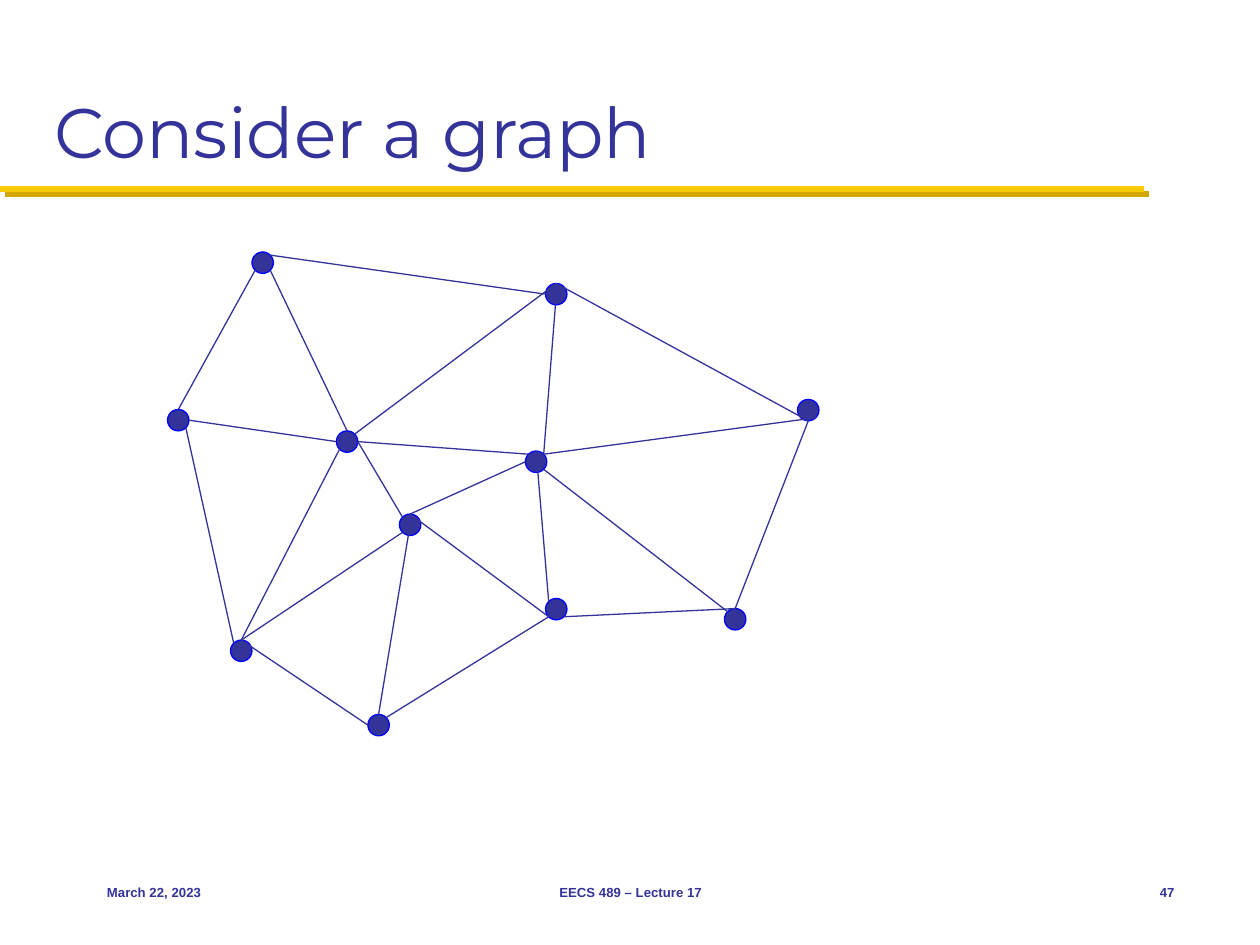
from dataclasses import dataclass
from math import sqrt

from lxml.etree import SubElement
from pptx import Presentation
from pptx.dml.color import RGBColor
from pptx.enum.shapes import MSO_CONNECTOR, MSO_SHAPE
from pptx.enum.text import MSO_ANCHOR, PP_ALIGN
from pptx.oxml.ns import qn
from pptx.shapes.connector import Connector
from pptx.text.text import TextFrame
from pptx.util import Inches, Pt


@dataclass(frozen=True)
class Theme:
    ink: str = "333399"
    rim: str = "0000FF"
    gold: str = "FFCB05"
    shade: str = "D3A600"
    head: str = "Montserrat"
    body: str = "Arial"
    title: float = 40
    foot: float = 7.5
    thin: float = 0.75
    rule: float = 3.5


@dataclass(frozen=True)
class Node:
    left: float
    top: float

    def site(self, side: str) -> tuple[float, float]:
        """Point on the rim in a compass direction, or the centre."""
        x, y = SIDES[side]
        reach = SIZE / 2 / (sqrt(x * x + y * y) or 1)
        return self.left + SIZE / 2 + x * reach, self.top + SIZE / 2 + y * reach


@dataclass(frozen=True)
class Edge:
    start: str
    out: str
    end: str
    into: str


@dataclass(frozen=True)
class Label:
    text: str
    left: float
    width: float
    align: PP_ALIGN


THEME = Theme()
SIZE = 0.17
SIDES = {
    "mid": (0, 0), "n": (0, -1), "s": (0, 1), "w": (-1, 0), "e": (1, 0),
    "nw": (-1, -1), "ne": (1, -1), "sw": (-1, 1), "se": (1, 1),
}
NODES = {
    "A": Node(2, 2), "B": Node(1.33, 3.25), "C": Node(4.33, 2.25),
    "D": Node(4.33, 4.75), "E": Node(2.92, 5.67), "F": Node(2.67, 3.42),
    "G": Node(6.33, 3.17), "H": Node(3.17, 4.08), "I": Node(1.83, 5.08),
    "J": Node(4.17, 3.58), "K": Node(5.75, 4.83),
}
EDGES = [
    Edge("A", "se", "F", "n"), Edge("A", "sw", "B", "n"),
    Edge("B", "se", "I", "nw"), Edge("F", "e", "H", "nw"),
    Edge("J", "se", "K", "nw"), Edge("C", "mid", "J", "ne"),
    Edge("C", "n", "G", "s"), Edge("G", "s", "K", "n"),
    Edge("I", "n", "E", "w"), Edge("H", "n", "D", "sw"),
    Edge("K", "n", "D", "se"), Edge("J", "n", "D", "nw"),
    Edge("H", "mid", "E", "n"), Edge("F", "e", "J", "nw"),
    Edge("B", "e", "F", "w"), Edge("I", "n", "H", "sw"),
    Edge("E", "ne", "D", "sw"), Edge("I", "n", "F", "sw"),
    Edge("H", "n", "J", "w"), Edge("J", "ne", "G", "se"),
    Edge("A", "ne", "C", "w"), Edge("F", "ne", "C", "n"),
]
LABELS = [
    Label("March 22, 2023", 0.75, 2.08, PP_ALIGN.LEFT),
    Label("EECS 489 – Lecture 17", 3.42, 3.17, PP_ALIGN.CENTER),
    Label("47", 8.75, 0.67, PP_ALIGN.RIGHT),
]

deck = Presentation()
deck.slide_width, deck.slide_height = Inches(10), Inches(7.5)
slide = deck.slides.add_slide(deck.slide_layouts[5])
shapes = slide.shapes


def tint(code: str) -> RGBColor:
    return RGBColor.from_string(code)


def write(frame: TextFrame, text: str, size: float, font: str,
          align: PP_ALIGN, anchor: MSO_ANCHOR, bold: bool = False) -> None:
    frame.word_wrap = True
    frame.vertical_anchor = anchor
    para = frame.paragraphs[0]
    para.alignment = align
    run = para.add_run()
    run.text = text
    run.font.size, run.font.name, run.font.bold = Pt(size), font, bold
    run.font.color.rgb = tint(THEME.ink)


def draw_line(start: tuple[float, float], end: tuple[float, float],
              color: str, width: float) -> Connector:
    line = shapes.add_connector(
        MSO_CONNECTOR.STRAIGHT, *map(Inches, (*start, *end)))
    line.line.color.rgb = tint(color)
    line.line.width = Pt(width)
    SubElement(line._element.spPr, qn("a:effectLst"))
    return line


def draw_node(node: Node) -> None:
    dot = shapes.add_shape(
        MSO_SHAPE.OVAL, *map(Inches, (node.left, node.top, SIZE, SIZE)))
    dot.shadow.inherit = False
    dot.fill.solid()
    dot.fill.fore_color.rgb = tint(THEME.ink)
    dot.line.color.rgb = tint(THEME.rim)
    dot.line.width = Pt(THEME.thin)


def draw_label(label: Label) -> None:
    box = shapes.add_textbox(
        *map(Inches, (label.left, 6.83, label.width, 0.5)))
    write(box.text_frame, label.text, THEME.foot, THEME.body,
          label.align, MSO_ANCHOR.MIDDLE, bold=True)


# Gold rule with a hard shadow
rule = draw_line((0, 1.5), (9.08, 1.5), THEME.gold, THEME.rule)
glow = SubElement(rule._element.spPr.find(qn("a:effectLst")),
                  qn("a:outerShdw"), blurRad="0", dist=str(Pt(4.2)),
                  dir=str(45 * 60000), algn="ctr", rotWithShape="0")
SubElement(glow, qn("a:srgbClr"), val=THEME.shade)

# Title
title = shapes.title
title.left, title.top = Inches(0.33), Inches(0.17)
title.width, title.height = Inches(9.33), Inches(1.25)
write(title.text_frame, "Consider a graph", THEME.title, THEME.head,
      PP_ALIGN.LEFT, MSO_ANCHOR.BOTTOM)

# Graph
for node in NODES.values():
    draw_node(node)
for edge in EDGES:
    draw_line(NODES[edge.start].site(edge.out), NODES[edge.end].site(edge.into),
              THEME.ink, THEME.thin)

# Footer
for label in LABELS:
    draw_label(label)

deck.save("out.pptx")
